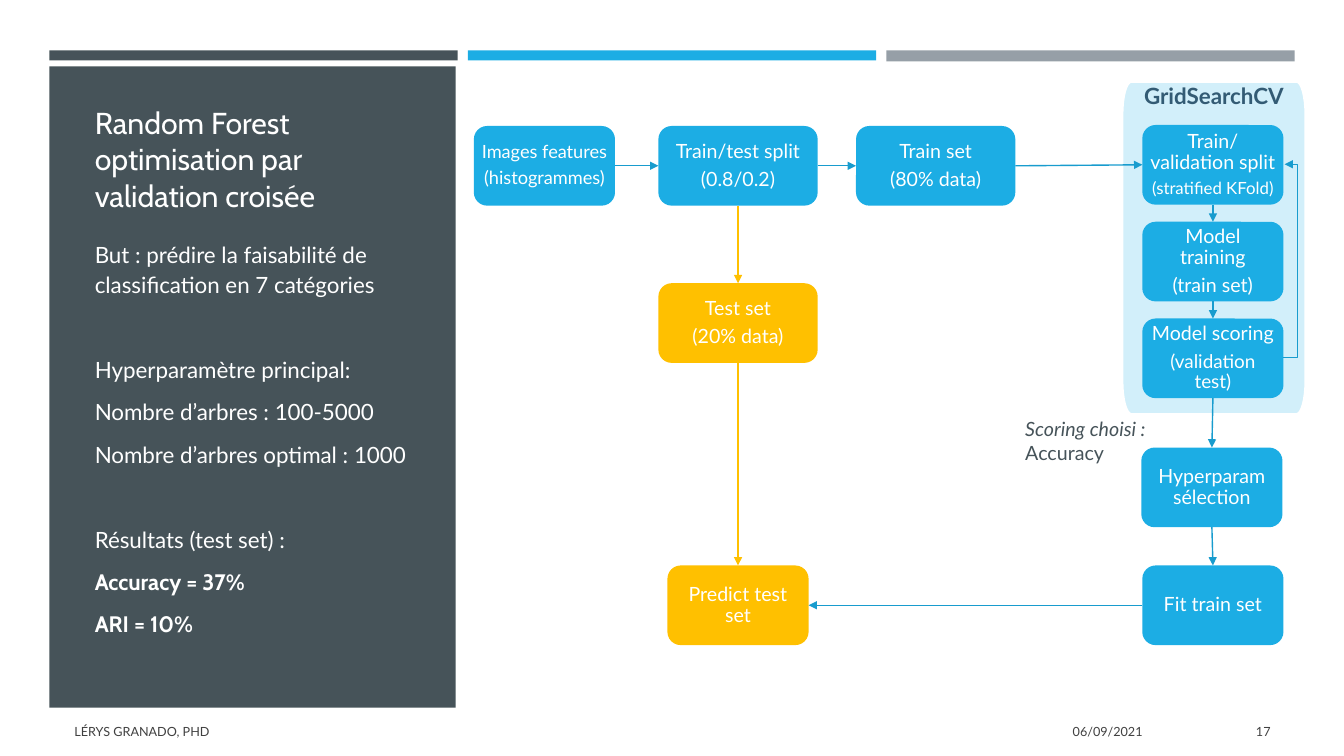
import math
from dataclasses import dataclass

from lxml import etree
from pptx import Presentation
from pptx.dml.color import RGBColor
from pptx.enum import shapes, text
from pptx.oxml.ns import qn
from pptx.util import Inches, Pt


@dataclass(frozen=True)
class Theme:
    dark: str = "465359"
    blue: str = "1CADE4"
    grey: str = "969FA7"
    arrow: str = "189CCE"
    gold: str = "FFC000"
    pale: str = "D2EFFA"
    navy: str = "335B74"
    footer: str = "404040"
    white: str = "FFFFFF"
    head_font: str = "Cabin"
    body_font: str = "Lato"
    title_size: float = 21.6
    body_size: float = 16
    box_size: float = 14
    footer_size: float = 9


@dataclass(frozen=True)
class Line:
    text: str
    size: float = Theme.box_size


@dataclass(frozen=True)
class Box:
    name: str
    left: float
    top: float
    width: float
    lines: tuple[Line, ...]
    fill: str = Theme.blue
    side_inset: float = 0.04


@dataclass(frozen=True)
class Arrow:
    start: str
    start_side: int
    end: str
    end_side: int
    color: str = Theme.arrow


@dataclass(frozen=True)
class Bullet:
    text: str
    new_group: bool = False
    strong: bool = False


@dataclass(frozen=True)
class Footer:
    text: str
    left: float
    width: float
    align: text.PP_ALIGN


T = Theme()
TOP, LEFT, BOTTOM, RIGHT = range(4)
BOX_H, NARROW, WIDE = 0.79, 1.4, 1.58
ROW_TOP, LAST_TOP = 1.25, 5.61
STEP_LEFT, STEP_TOP, STEP_PITCH = 11.33, 1.24, 0.96

BOXES = [
    Box("features", 4.7, ROW_TOP, NARROW, (Line("Images features", 13), Line("(histogrammes)", 13))),
    Box("split", 6.53, ROW_TOP, WIDE, (Line("Train/test split"), Line("(0.8/0.2)"))),
    Box("train", 8.49, ROW_TOP, WIDE, (Line("Train set"), Line("(80% data)"))),
    Box("test", 6.53, 2.81, WIDE, (Line("Test set"), Line("(20% data)")), T.gold),
    Box("folds", STEP_LEFT, STEP_TOP, NARROW,
        (Line("Train/validation split"), Line("(stratified KFold)", 12)), side_inset=0),
    Box("training", STEP_LEFT, STEP_TOP + STEP_PITCH, NARROW,
        (Line("Model training"), Line("(train set)"))),
    Box("scoring", STEP_LEFT, STEP_TOP + 2 * STEP_PITCH, NARROW,
        (Line("Model scoring"), Line("(validation test)", 13.5))),
    Box("hyperparam", 11.32, 4.44, NARROW, (Line("Hyperparam sélection"),)),
    Box("fit", STEP_LEFT, LAST_TOP, NARROW, (Line("Fit train set"),)),
    Box("predict", 6.62, LAST_TOP, NARROW, (Line("Predict test set"),), T.gold),
]
ARROWS = [
    Arrow("features", RIGHT, "split", LEFT),
    Arrow("split", RIGHT, "train", LEFT),
    Arrow("train", RIGHT, "folds", LEFT),
    Arrow("folds", BOTTOM, "training", TOP),
    Arrow("training", BOTTOM, "scoring", TOP),
    Arrow("scoring", BOTTOM, "hyperparam", TOP),
    Arrow("hyperparam", BOTTOM, "fit", TOP),
    Arrow("fit", LEFT, "predict", RIGHT),
    Arrow("split", BOTTOM, "test", TOP, T.gold),
    Arrow("test", BOTTOM, "predict", TOP, T.gold),
]
BULLETS = [
    Bullet("But : prédire la faisabilité de classification en 7 catégories"),
    Bullet("Hyperparamètre principal:", new_group=True),
    Bullet("Nombre d’arbres : 100-5000"),
    Bullet("Nombre d’arbres optimal : 1000"),
    Bullet("Résultats (test set) :", new_group=True),
    Bullet("Accuracy = 37%", strong=True),
    Bullet("ARI = 10%", strong=True),
]
FOOTERS = [
    Footer("LÉRYS GRANADO, PHD", 0.64, 7.56, text.PP_ALIGN.LEFT),
    Footer("06/09/2021", 8.32, 3.11, text.PP_ALIGN.RIGHT),
    Footer("17", 11.55, 1.15, text.PP_ALIGN.RIGHT),
]
BLOCKS = [(0.49, 0.5, 4.05, 0.1, T.dark), (4.64, 0.5, 4.05, 0.1, T.blue),
          (8.79, 0.5, 4.05, 0.11, T.grey), (0.49, 0.66, 4.03, 6.36, T.dark)]


def rgb(color: str) -> RGBColor:
    return RGBColor.from_string(color)


def style(p, size: float, color: str, font: str = T.body_font, bold: bool = False) -> None:
    p.font.name, p.font.size, p.font.bold = font, Pt(size), bold
    p.font.color.rgb = rgb(color)


def paint(sp, fill: str) -> None:
    sp.shadow.inherit = False
    sp.fill.solid()
    sp.fill.fore_color.rgb = rgb(fill)
    sp.line.fill.background()


def place(sp, left: float, top: float, width: float, height: float) -> None:
    sp.left, sp.top, sp.width, sp.height = map(Inches, (left, top, width, height))


def write_centred(sp, lines, color: str, side_inset: float = 0.04, bold: bool = False) -> None:
    tf = sp.text_frame
    tf.word_wrap = True
    tf.margin_left = tf.margin_right = Inches(side_inset)
    tf.margin_top = tf.margin_bottom = Inches(0.04)
    for i, line in enumerate(lines):
        p = tf.add_paragraph() if i else tf.paragraphs[0]
        p.text, p.alignment, p.line_spacing = line.text, text.PP_ALIGN.CENTER, 0.9
        p.space_after = Pt(0.35 * line.size)
        style(p, line.size, color, bold=bold)


def add_box(slide, box: Box):
    sp = slide.shapes.add_shape(shapes.MSO_SHAPE.ROUNDED_RECTANGLE, *map(
        Inches, (box.left, box.top, box.width, BOX_H)))
    paint(sp, box.fill)
    sp.text_frame.vertical_anchor = text.MSO_ANCHOR.MIDDLE
    write_centred(sp, box.lines, T.white, box.side_inset)
    return sp


def finish_arrow(line, color: str) -> None:
    line.line.color.rgb, line.line.width = rgb(color), Pt(1)
    etree.SubElement(line.line._get_or_add_ln(), qn("a:tailEnd"), type="triangle")
    etree.SubElement(line.element.spPr, qn("a:effectLst"))


def add_arrow(slide, arrow: Arrow, boxes: dict) -> None:
    line = slide.shapes.add_connector(shapes.MSO_CONNECTOR.STRAIGHT, 0, 0, 0, 0)
    line.begin_connect(boxes[arrow.start], arrow.start_side)
    line.end_connect(boxes[arrow.end], arrow.end_side)
    finish_arrow(line, arrow.color)


def add_loop_arrow(slide) -> None:
    """Lead from scoring back to the fold split, passing right of the boxes."""
    x1, x2, bend = 12.72, 12.74, 12.87
    line = slide.shapes.add_connector(
        shapes.MSO_CONNECTOR.ELBOW, *map(Inches, (x1, 3.55, x2, 1.63)))
    guides = line.element.spPr.find(qn("a:prstGeom")).get_or_add_avLst()
    etree.SubElement(guides, qn("a:gd"), name="adj1",
                     fmla=f"val {round((bend - x1) / (x2 - x1) * 100000)}")
    finish_arrow(line, T.arrow)


def add_grid_panel(slide) -> None:
    """Draw the panel with corners that are taller than wide."""
    left, top, right, bottom, rx, ry = 11.13, 0.81, 12.95, 4.11, 0.09, 0.33
    centres = [(right - rx, bottom - ry), (left + rx, bottom - ry),
               (left + rx, top + ry), (right - rx, top + ry)]
    points = []
    for corner, (cx, cy) in enumerate(centres):
        for step in range(9):
            angle = math.pi / 2 * (corner + step / 8)
            points.append((Inches(cx + rx * math.cos(angle)), Inches(cy + ry * math.sin(angle))))
    outline = slide.shapes.build_freeform(*points[0])
    outline.add_line_segments(points[1:], close=True)
    sp = outline.convert_to_shape()
    paint(sp, T.pale)
    sp.line.color.rgb, sp.line.width = rgb(T.white), Pt(1.75)
    sp.text_frame.vertical_anchor = text.MSO_ANCHOR.TOP
    write_centred(sp, [Line("GridSearchCV", 16)], T.navy, bold=True)


def fill_sidebar(slide) -> None:
    title, body = slide.shapes.title, slide.placeholders[1]
    for *area, color in BLOCKS:
        sp = slide.shapes.add_shape(shapes.MSO_SHAPE.RECTANGLE, *map(Inches, area))
        paint(sp, color)
        title.element.addprevious(sp.element)
    place(title, 0.84, 1.02, 3.32, 1.11)
    place(body, 0.84, 2.32, 3.32, 4.49)
    for sp, anchor in ((title, text.MSO_ANCHOR.MIDDLE), (body, text.MSO_ANCHOR.TOP)):
        sp.text_frame.word_wrap = True
        sp.text_frame.auto_size = text.MSO_AUTO_SIZE.NONE
        sp.text_frame.vertical_anchor = anchor
    p = title.text_frame.paragraphs[0]
    p.text, p.alignment = "Random Forest optimisation par validation croisée", text.PP_ALIGN.LEFT
    style(p, T.title_size, T.white, T.head_font)
    for i, bullet in enumerate(BULLETS):
        p = body.text_frame.add_paragraph() if i else body.text_frame.paragraphs[0]
        p.text, p.line_spacing, p.space_after = bullet.text, 1.1, Pt(6)
        p.space_before = Pt(33.5 if bullet.new_group else 3.2)
        props = p._p.get_or_add_pPr()
        props.set("marL", "0")
        props.set("indent", "0")
        etree.SubElement(props, qn("a:buNone"))
        style(p, T.body_size, T.white, T.head_font if bullet.strong else T.body_font, bullet.strong)


def add_text_box(slide, left: float, top: float, width: float, height: float):
    tf = slide.shapes.add_textbox(*map(Inches, (left, top, width, height))).text_frame
    tf.word_wrap = True
    return tf


def add_footer(slide, footer: Footer) -> None:
    tf = add_text_box(slide, footer.left, 7.06, footer.width, 0.4)
    tf.vertical_anchor = text.MSO_ANCHOR.MIDDLE
    p = tf.paragraphs[0]
    p.text, p.alignment = footer.text, footer.align
    style(p, T.footer_size, T.footer)


def add_scoring_note(slide) -> None:
    p = add_text_box(slide, 10.07, 4.09, 1.69, 0.57).paragraphs[0]
    style(p, T.box_size, T.dark)
    for words, italic in (("Scoring choisi : ", True), ("Accuracy", False)):
        r = p.add_run()
        r.text, r.font.italic = words, italic


def main() -> None:
    prs = Presentation()
    prs.slide_width, prs.slide_height = Inches(13.33), Inches(7.5)
    slide = prs.slides.add_slide(prs.slide_layouts[1])
    fill_sidebar(slide)
    for footer in FOOTERS:
        add_footer(slide, footer)
    add_grid_panel(slide)
    add_scoring_note(slide)
    boxes = {box.name: add_box(slide, box) for box in BOXES}
    for arrow in ARROWS:
        add_arrow(slide, arrow, boxes)
    add_loop_arrow(slide)
    prs.save("out.pptx")


if __name__ == "__main__":
    main()
